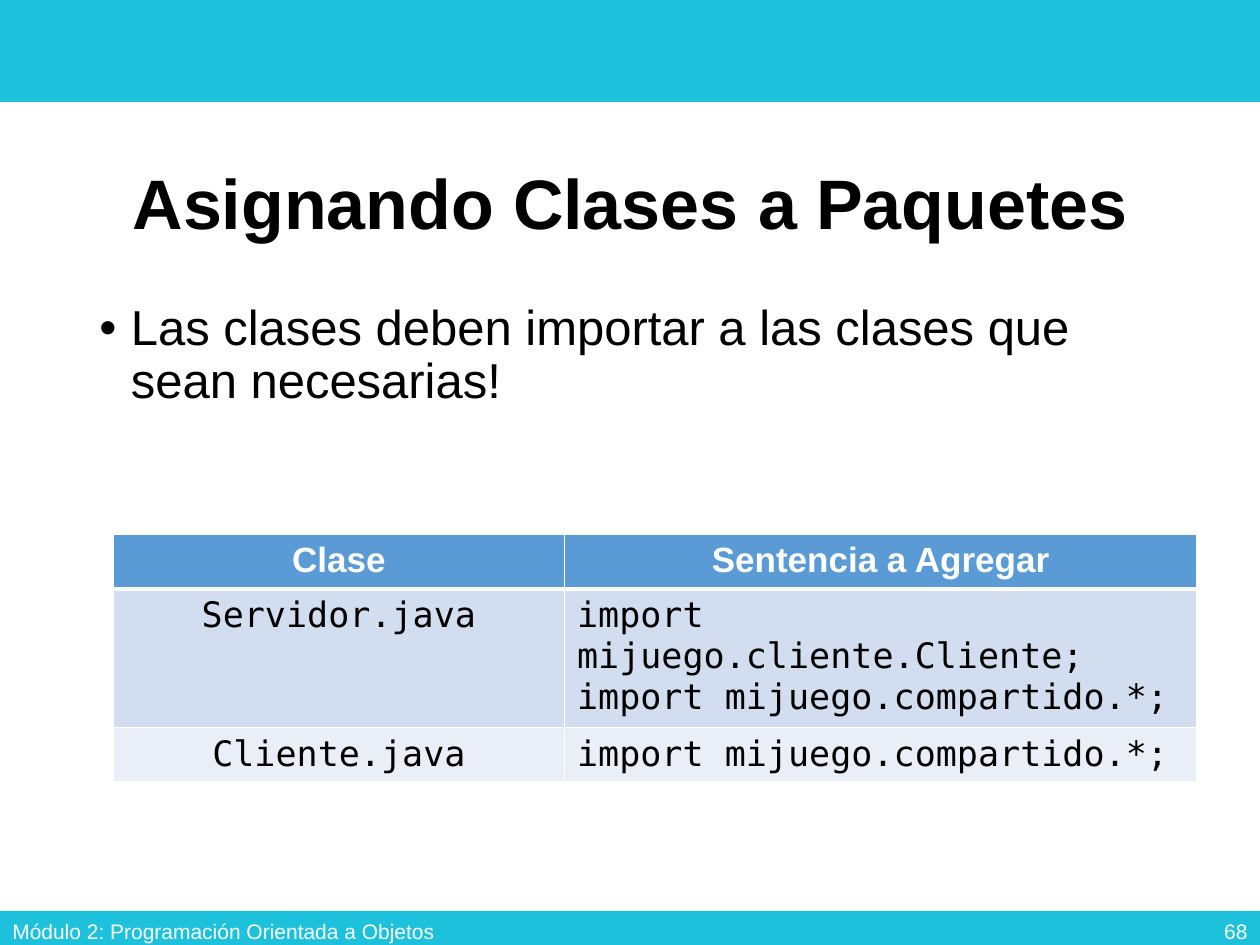
from lxml.etree import SubElement
from pptx import Presentation
from pptx.dml.color import RGBColor
from pptx.enum.shapes import MSO_SHAPE as Shape
from pptx.enum.text import MSO_ANCHOR as Anchor, PP_ALIGN as Align
from pptx.oxml.ns import qn
from pptx.util import Inches, Pt

WIDTH, HEIGHT = Inches(10), Inches(7.5)
CYAN, WHITE, BLACK = "1DC1DC", "FFFFFF", "000000"
SANS, MONO = "Arial", "DejaVu Sans Mono"
HEADER_FILL, BAND_FILLS = "5B9BD5", ("D2DEEF", "EAEFF7")


def color(value):
    return RGBColor.from_string(value)


def share(left, top, width, height):
    """Turn percentages of the slide's size into lengths."""
    return [int(part * side / 100) for part, side in
            zip((left, top, width, height), (WIDTH, HEIGHT) * 2)]


def write(para, text, size=20, font=SANS, ink=BLACK, bold=False,
          align=Align.LEFT, spacing=1.0):
    para.alignment = align
    para.line_spacing = spacing
    para.space_before = Pt(0)
    span = para.add_run()
    span.text = text
    span.font.size = Pt(size)
    span.font.name = font
    span.font.bold = bold
    span.font.color.rgb = color(ink)


def add_bullet(para, indent):
    props = para._p.get_or_add_pPr()
    props.set("marL", str(indent))
    props.set("indent", str(-indent))
    SubElement(props, qn("a:buFont"), typeface=SANS)
    SubElement(props, qn("a:buChar"), char="•")


def add_bar(page, box):
    bar = page.shapes.add_shape(Shape.RECTANGLE, *share(*box))
    bar.shadow.inherit = False
    bar.fill.solid()
    bar.fill.fore_color.rgb = color(CYAN)
    bar.line.fill.background()


def add_title(page, box, text):
    title = page.shapes.title
    title.left, title.top, title.width, title.height = share(*box)
    title.text_frame.vertical_anchor = Anchor.MIDDLE
    write(title.text_frame.paragraphs[0], text, size=40, bold=True,
          align=Align.CENTER, spacing=0.9)


def add_body(page, box, text):
    frame = page.shapes.add_textbox(*share(*box)).text_frame
    frame.word_wrap = True
    para = frame.paragraphs[0]
    add_bullet(para, Inches(0.25))
    write(para, text, size=28, spacing=0.9)


def add_footer(page, box, label, number):
    left, top, width, height = box
    half = width / 2
    parts = ((label, left, Align.LEFT), (number, left + half, Align.RIGHT))
    for text, start, align in parts:
        frame = page.shapes.add_textbox(
            *share(start, top, half, height)).text_frame
        frame.word_wrap = True
        frame.margin_top = frame.margin_bottom = 0
        frame.vertical_anchor = Anchor.MIDDLE
        write(frame.paragraphs[0], text, size=12, ink=WHITE, align=align)


def add_borders(cell, widths):
    """Draw white borders; a:lnX elements must come before the cell's fill."""
    props = cell._tc.get_or_add_tcPr()
    for position, (side, points) in enumerate(widths.items()):
        line = SubElement(props, qn(f"a:ln{side}"), w=str(Pt(points)))
        fill = SubElement(line, qn("a:solidFill"))
        SubElement(fill, qn("a:srgbClr"), val=WHITE)
        props.insert(position, line)


def add_import_table(page, box, columns, heights, rows):
    """Columns and heights are shares of the slide, like the box."""
    table = page.shapes.add_table(len(rows), len(columns), *share(*box)).table
    for column, width in zip(table.columns, columns):
        column.width = int(WIDTH * width / 100)
    for row, height in zip(table.rows, heights):
        row.height = int(HEIGHT * height / 100)
    for r, texts in enumerate(rows):
        header = r == 0
        style = (dict(ink=WHITE, bold=True) if header else dict(font=MONO))
        for c, text in enumerate(texts):
            cell = table.cell(r, c)
            cell.fill.solid()
            cell.fill.fore_color.rgb = color(
                HEADER_FILL if header else BAND_FILLS[(r - 1) % 2])
            add_borders(cell, {"L": 1, "R": 1, "T": 3 if r == 1 else 1,
                               "B": 3 if header else 1})
            align = Align.CENTER if header or c == 0 else Align.LEFT
            frame = cell.text_frame
            for i, line in enumerate(text.split("\n")):
                para = frame.add_paragraph() if i else frame.paragraphs[0]
                write(para, line, align=align, **style)


def main():
    deck = Presentation()
    deck.slide_width, deck.slide_height = WIDTH, HEIGHT
    page = deck.slides.add_slide(deck.slide_layouts[5])
    page.background.fill.solid()
    page.background.fill.fore_color.rgb = color(WHITE)

    add_bar(page, (0, 0, 100, 10.8))
    add_bar(page, (0, 96.4, 100, 3.6))
    add_body(page, (6.9, 31.47, 86.2, 63.47),
             "Las clases deben importar a las clases que sean necesarias!")
    add_title(page, (6.9, 13.07, 86.2, 17.73), "Asignando Clases a Paquetes")
    add_footer(page, (0, 97.07, 100, 2.93),
               "Módulo 2: Programación Orientada a Objetos", "68")
    add_import_table(
        page, (9, 56.53, 86, 25.4), (35.8, 50.2), (5.6, 14.3, 5.5),
        [("Clase", "Sentencia a Agregar"),
         ("Servidor.java",
          "import mijuego.cliente.Cliente;\nimport mijuego.compartido.*;"),
         ("Cliente.java", "import mijuego.compartido.*;")])
    deck.save("out.pptx")


if __name__ == "__main__":
    main()
